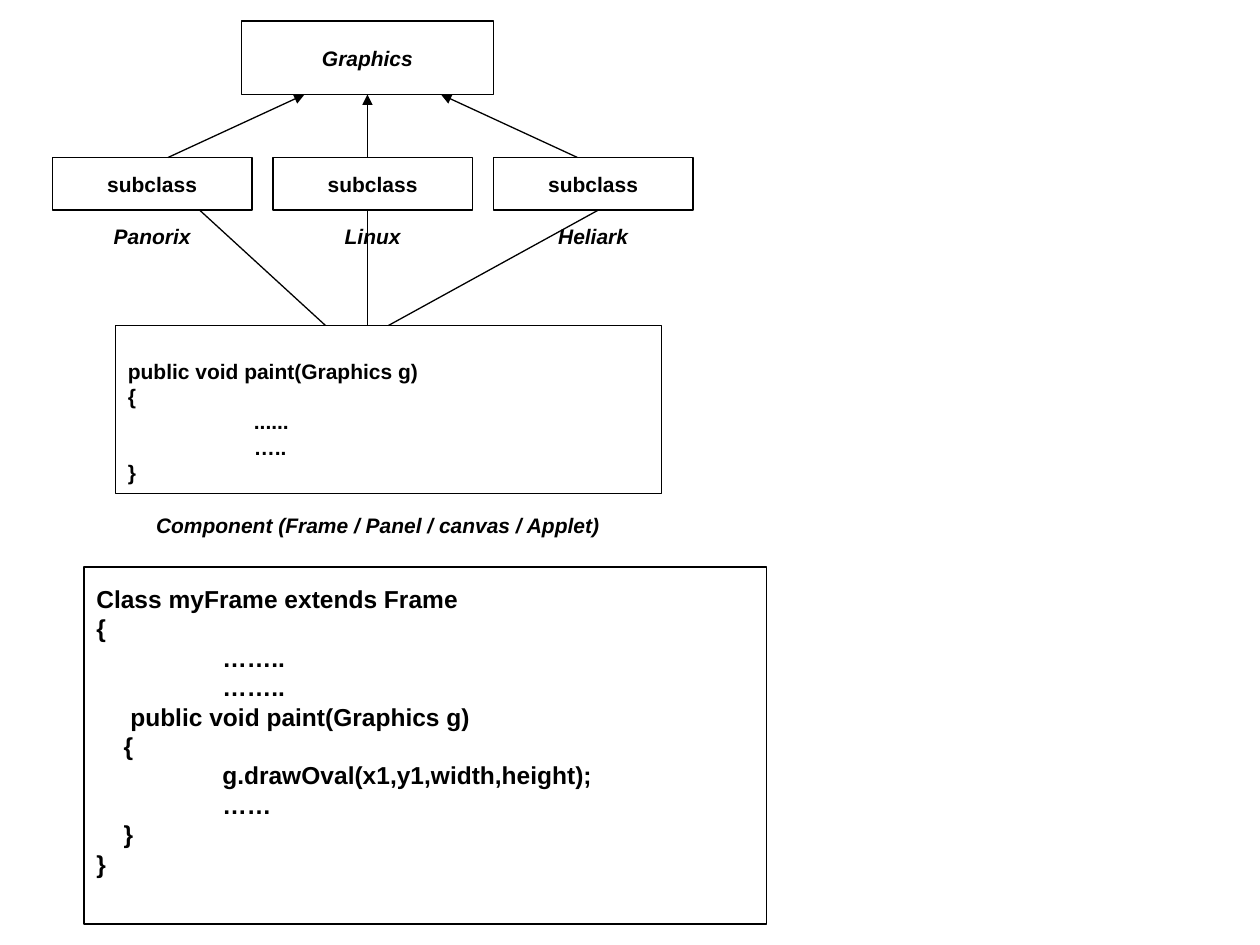
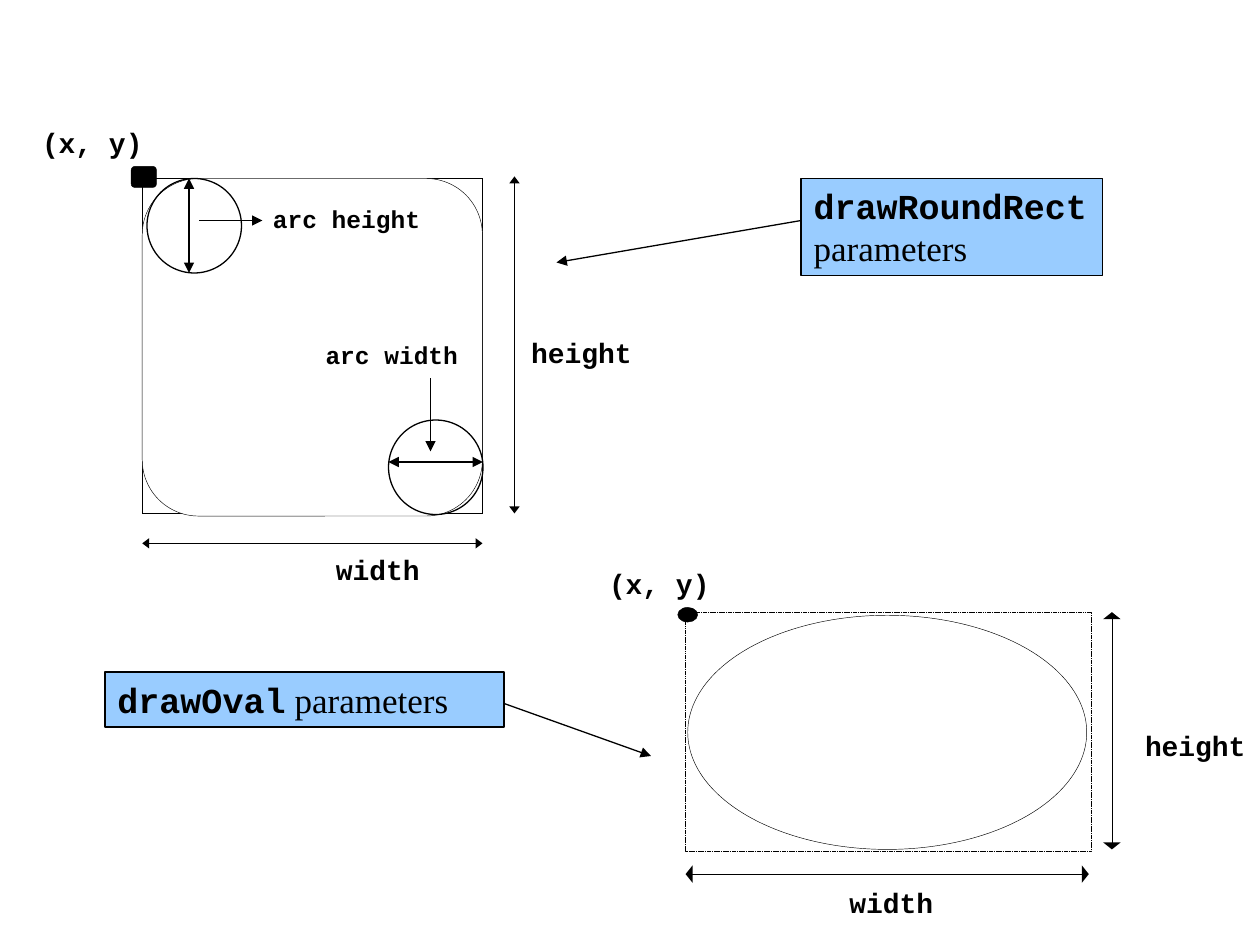
from dataclasses import dataclass, field
from typing import Any

from lxml import etree
from pptx import Presentation
from pptx import util as u
from pptx.dml.color import RGBColor
from pptx.enum import dml, shapes, text
from pptx.oxml.ns import qn

# Shared look: a grid of 120 columns by 90 rows on a 10 by 7.5 inch slide
WIDE, HIGH = u.Inches(10), u.Inches(7.5)
COLS, ROWS = 120, 90
BLACK, WHITE, BLUE = "000000", "FFFFFF", "99CCFF"
THIN, BASE = 0.25, 0.75
KIND = shapes.MSO_SHAPE
DASH = dml.MSO_LINE

HEAD = dict(name="Arial", size=u.Pt(12), bold=True)
NOTE = HEAD | dict(italic=True)
CODE = HEAD | dict(size=u.Pt(14))
MONO = dict(name="Courier New", size=u.Pt(16), bold=True)
MINI = MONO | dict(size=u.Pt(14))
CALL = MONO | dict(size=u.Pt(20))
PLAIN = dict(name="Times New Roman", size=u.Pt(20), bold=False)

Runs = list[tuple[str, dict[str, Any]]]


@dataclass
class Box:
    """A shape on the grid; lines holds one list of runs per paragraph."""
    left: float
    top: float
    cols: float
    rows: float
    lines: list[Runs] = field(default_factory=list)
    kind: Any = KIND.RECTANGLE
    fill: str | None = None
    edge: str | None = BLACK
    width: float = BASE
    dash: Any = None
    align: Any = text.PP_ALIGN.LEFT
    anchor: Any = text.MSO_ANCHOR.MIDDLE
    pad: tuple[float, float, float, float] = (0.1, 0.05, 0.1, 0.05)


@dataclass
class Line:
    """A straight line on the grid; ends names its arrowheads."""
    x1: float
    y1: float
    x2: float
    y2: float
    ends: tuple[str, ...] = ()
    width: float = BASE
    size: tuple[str, str] = ("med", "med")


TIP = ("tailEnd",)
BOTH = ("headEnd", "tailEnd")


def tint(code: str) -> RGBColor:
    return RGBColor.from_string(code)


def col(n: float) -> int:
    return round(WIDE * n / COLS)


def row(n: float) -> int:
    return round(HIGH * n / ROWS)


def write(frame: Any, box: Box) -> None:
    pads = [u.Inches(n) for n in box.pad]
    form = dict(word_wrap=True, vertical_anchor=box.anchor,
                margin_left=pads[0], margin_top=pads[1],
                margin_right=pads[2], margin_bottom=pads[3])
    for key, val in form.items():
        setattr(frame, key, val)
    for i, runs in enumerate(box.lines):
        para = frame.add_paragraph() if i else frame.paragraphs[0]
        para.alignment = box.align
        # Tab stops at every inch
        tabs = etree.SubElement(para._p.get_or_add_pPr(), qn("a:tabLst"))
        for n in range(1, 8):
            etree.SubElement(tabs, qn("a:tab"), pos=str(u.Inches(n)), algn="l")
        for words, font in runs:
            run = para.add_run()
            run.text = words
            run.font.color.rgb = tint(BLACK)
            for key, val in font.items():
                setattr(run.font, key, val)


def draw_box(slide: Any, box: Box) -> None:
    area = col(box.left), row(box.top), col(box.cols), row(box.rows)
    shape = slide.shapes.add_shape(box.kind, *area)
    shape.shadow.inherit = False
    if box.fill:
        shape.fill.solid()
        shape.fill.fore_color.rgb = tint(box.fill)
    else:
        shape.fill.background()
    if box.edge:
        shape.line.color.rgb = tint(box.edge)
        shape.line.width = u.Pt(box.width)
        if box.dash:
            shape.line.dash_style = box.dash
    else:
        shape.line.fill.background()
    if box.lines:
        write(shape.text_frame, box)


def draw_line(slide: Any, line: Line) -> None:
    link = slide.shapes.add_connector(
        shapes.MSO_CONNECTOR.STRAIGHT,
        col(line.x1), row(line.y1), col(line.x2), row(line.y2))
    link.line.color.rgb = tint(BLACK)
    link.line.width = u.Pt(line.width)
    pen = link.line._get_or_add_ln()
    for end in line.ends:
        etree.SubElement(pen, qn(f"a:{end}"), type="triangle",
                         w=line.size[0], len=line.size[1])
    etree.SubElement(link._element.spPr, qn("a:effectLst"))


def draw(slide: Any, items: list[Box | Line]) -> None:
    for item in items:
        if isinstance(item, Box):
            draw_box(slide, item)
        else:
            draw_line(slide, item)


def label(left: float, top: float, cols: float, rows: float,
          words: str, font: dict[str, Any] = MONO) -> Box:
    return Box(left, top, cols, rows, [[(words, font)]], edge=None,
               anchor=text.MSO_ANCHOR.TOP, pad=(0, 0, 0, 0))


def node(left: float, top: float, cols: float, rows: float, words: str,
         font: dict[str, Any] = NOTE, edge: str = BLACK) -> Box:
    return Box(left, top, cols, rows, [[(words, font)]], edge=edge,
               align=text.PP_ALIGN.CENTER)


def code(words: str, font: dict[str, Any]) -> list[Runs]:
    return [[(line, font)] for line in words.split("\n")]


PAINT = "public void paint(Graphics g)\n{\n\t......\n\t…..\n}"
FRAME = """Class myFrame extends Frame
{
\t……..
\t……..
     public void paint(Graphics g)
    {
\tg.drawOval(x1,y1,width,height);
\t……
    }
}"""


def classes(slide: Any) -> None:
    # Base class, its subclasses and their links up and down
    draw(slide, [node(23, 2, 24, 7, "Graphics")])
    names = ("Panorix", "Linux", "Heliark")
    ups = ((16, 29), (35, 35), (55, 42))
    downs = ((19, 31), (35, 35), (57, 37))
    for i, (name, up, down) in enumerate(zip(names, ups, downs)):
        left = 5 + 21 * i
        draw(slide, [
            node(left, 15, 19, 5, "subclass", HEAD),
            Line(up[0], 15, up[1], 9, TIP),
            node(left, 21, 19, 3, name, edge=WHITE),
            Line(down[0], 20, down[1], 31),
        ])
    # Paint method and the frame that overrides it
    draw(slide, [
        Box(11, 31, 52, 16, code(PAINT, HEAD), pad=(0.1, 0.24, 0.1, 0.05)),
        node(9, 48, 54, 4, "Component (Frame / Panel / canvas / Applet)",
             edge=WHITE),
        Box(8, 54, 65, 34, code(FRAME, CODE), pad=(0.1, 0.05, 0.1, 0.28)),
    ])


def callout(left: float, top: float, cols: float, rows: float,
            name: str, rest: str) -> Box:
    return Box(left, top, cols, rows, [[(name, CALL), (rest, PLAIN)]],
               fill=BLUE, anchor=text.MSO_ANCHOR.TOP)


def params(slide: Any) -> None:
    # Rounded rectangle with its measures
    small = ("med", "sm")
    left, top, right, base = 13.55, 17, 45.95, 48.9
    draw(slide, [
        Box(left, top, right - left, base - top, fill=WHITE, width=THIN,
            dash=DASH.ROUND_DOT),
        Box(left, top, right - left, 32.15, kind=KIND.ROUNDED_RECTANGLE,
            fill=WHITE, width=THIN),
        label(31, 32.4, 15.2, 4.5, "arc width", MINI),
        Line(right, 51.75, left, 51.75, BOTH, THIN, small),
        Line(49, base, 49, 16.8, BOTH, THIN, small),
        label(32, 52.6, 12.1, 4.5, "width"),
        label(50.6, 32, 14.4, 4.5, "height"),
        Box(12.5, 15.85, 2.4, 2, kind=KIND.ROUNDED_RECTANGLE, fill=BLACK,
            width=THIN),
        label(4, 12, 15.5, 5.4, "(x, y)"),
        label(26, 19.4, 17, 4.5, "arc height", MINI),
    ])

    # Oval with its measures
    flat = ("lg", "sm")
    left, top, right, base = 65.3, 58.3, 103.9, 81.1
    draw(slide, [
        Box(65.5, 58.6, 38, 22.3, kind=KIND.OVAL, width=THIN),
        Box(left, top, right - left, base - top, width=THIN,
            dash=DASH.SQUARE_DOT),
        Box(64.55, 57.85, 1.9, 1.4, kind=KIND.OVAL, fill=BLACK, width=THIN),
        label(58, 54, 10.7, 4.4, "(x, y)"),
        Line(105.9, 80.9, 105.9, top, BOTH, THIN, flat),
        Line(103.7, 83.25, left, 83.25, BOTH, THIN, flat),
        label(109.05, 69.4, 10, 3.8, "height"),
        label(80.9, 84.3, 8.4, 3.8, "width"),
    ])

    # Callouts, then the corner circles and their arrows
    draw(slide, [
        callout(76.3, 17, 28.7, 9.25, "drawRoundRect ", "parameters"),
        Line(76.3, 21, 53, 25, TIP),
        callout(10, 64, 38, 5.25, "drawOval", " parameters"),
        Line(48, 67, 62, 72, TIP),
        Box(14, 17, 9, 9, kind=KIND.OVAL),
        Box(37, 40, 9, 9, kind=KIND.OVAL),
        Line(18, 17, 18, 26, BOTH),
        Line(37, 44, 46, 44, BOTH),
        Line(41, 36, 41, 43, TIP),
        Line(19, 21, 25, 21, TIP),
    ])


def main() -> None:
    deck = Presentation()
    deck.slide_width, deck.slide_height = WIDE, HIGH
    for build in (classes, params):
        build(deck.slides.add_slide(deck.slide_layouts[6]))
    deck.save("out.pptx")


if __name__ == "__main__":
    main()
